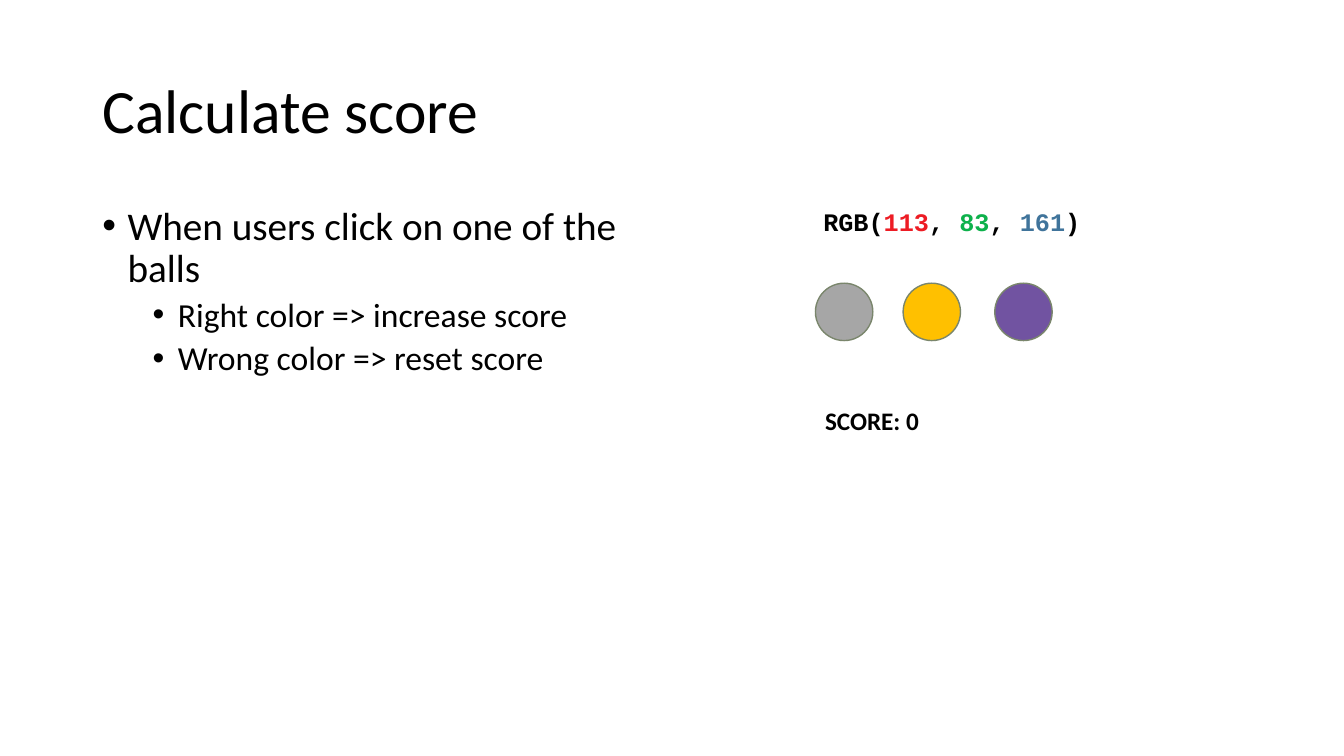
from dataclasses import dataclass

import pptx
import pptx.dml.color
import pptx.enum.shapes
import pptx.enum.text
import pptx.oxml
import pptx.oxml.ns
import pptx.util

Pt = pptx.util.Pt
COLORS = {
    "black": "000000", "white": "FFFFFF", "outline": "7A866C",
    "gray": "A6A6A6", "amber": "FFC000", "purple": "7153A1",
    "red": "ED1C24", "green": "0DB14B", "blue": "40749B",
}
BALL_SIZE = 41
BALL_TOP = 202.3


@dataclass
class Ball:
    left: float
    color: str


@dataclass
class Bullet:
    text: str
    level: int
    size: float
    indent: float
    before: float


@dataclass
class Label:
    left: float
    top: float
    width: float
    font: str
    runs: list[tuple[str, str]]


BALLS = [Ball(645.1, "amber"), Ball(710.6, "purple"), Ball(582.5, "gray")]
BULLETS = [
    Bullet("When users click on one of the balls", 0, 28, 18, 10),
    Bullet("Right color => increase score", 1, 24, 54, 5),
    Bullet("Wrong color => reset score", 1, 24, 54, 5),
]
LABELS = [
    Label(581, 144, 198.7, "Courier New", [
        ("RGB(", "black"), ("113", "red"), (", ", "black"), ("83", "green"),
        (", ", "black"), ("161", "blue"), (")", "black")]),
    Label(582.2, 285.8, 82, "Calibri", [("SCORE: 0", "black")]),
]


def rgb(name: str) -> pptx.dml.color.RGBColor:
    return pptx.dml.color.RGBColor.from_string(COLORS[name])


def set_font(p, name: str, size: float) -> None:
    p.font.name = name
    p.font.size = Pt(size)
    p.font.color.rgb = rgb("black")


def add_title(s, text: str) -> None:
    sp = s.shapes.title
    sp.left, sp.top, sp.width, sp.height = Pt(66), Pt(28.8), Pt(828), Pt(104.4)
    tf = sp.text_frame
    tf.text = text
    tf.auto_size = pptx.enum.text.MSO_AUTO_SIZE.NONE
    tf.vertical_anchor = pptx.enum.text.MSO_ANCHOR.MIDDLE
    p = tf.paragraphs[0]
    p.alignment = pptx.enum.text.PP_ALIGN.LEFT
    p.line_spacing = 0.9
    set_font(p, "Calibri", 44)


def add_bullets(s, bullets: list[Bullet]) -> None:
    tf = s.shapes.add_textbox(Pt(66), Pt(144), Pt(408), Pt(342.7)).text_frame
    tf.word_wrap = True
    for i, bullet in enumerate(bullets):
        p = tf.add_paragraph() if i else tf.paragraphs[0]
        p.text = bullet.text
        p.level = bullet.level
        p.line_spacing = 0.9
        p.space_before = Pt(bullet.before)
        set_font(p, "Calibri", bullet.size)
        pPr = p._p.get_or_add_pPr()
        pPr.set("marL", str(Pt(bullet.indent)))
        pPr.set("indent", str(Pt(-18)))
        ns = pptx.oxml.ns.nsdecls("a")
        marks = [
            pptx.oxml.parse_xml(f'<a:buFont {ns} typeface="Arial"/>'),
            pptx.oxml.parse_xml(f'<a:buChar {ns} char="•"/>'),
        ]
        defaults = pPr.find(pptx.oxml.ns.qn("a:defRPr"))
        for mark in marks:
            defaults.addprevious(mark)


def add_ball(s, ball: Ball) -> None:
    sp = s.shapes.add_shape(
        pptx.enum.shapes.MSO_SHAPE.OVAL,
        Pt(ball.left), Pt(BALL_TOP), Pt(BALL_SIZE), Pt(BALL_SIZE))
    sp.shadow.inherit = False
    sp.fill.solid()
    sp.fill.fore_color.rgb = rgb(ball.color)
    sp.line.color.rgb = rgb("outline")
    sp.line.width = Pt(1)


def add_label(s, label: Label) -> None:
    sp = s.shapes.add_textbox(Pt(label.left), Pt(label.top), Pt(label.width), Pt(29))
    tf = sp.text_frame
    tf.word_wrap = False
    tf.auto_size = pptx.enum.text.MSO_AUTO_SIZE.SHAPE_TO_FIT_TEXT
    p = tf.paragraphs[0]
    set_font(p, label.font, 18)
    p.font.bold = True
    for text, color in label.runs:
        r = p.add_run()
        r.text = text
        r.font.color.rgb = rgb(color)


def main() -> None:
    prs = pptx.Presentation()
    prs.slide_width, prs.slide_height = Pt(960), Pt(540)
    s = prs.slides.add_slide(prs.slide_layouts.get_by_name("Title Only"))
    s.background.fill.solid()
    s.background.fill.fore_color.rgb = rgb("white")
    add_title(s, "Calculate score")
    add_bullets(s, BULLETS)
    for ball in BALLS:
        add_ball(s, ball)
    for label in LABELS:
        add_label(s, label)
    prs.save("out.pptx")


if __name__ == "__main__":
    main()
